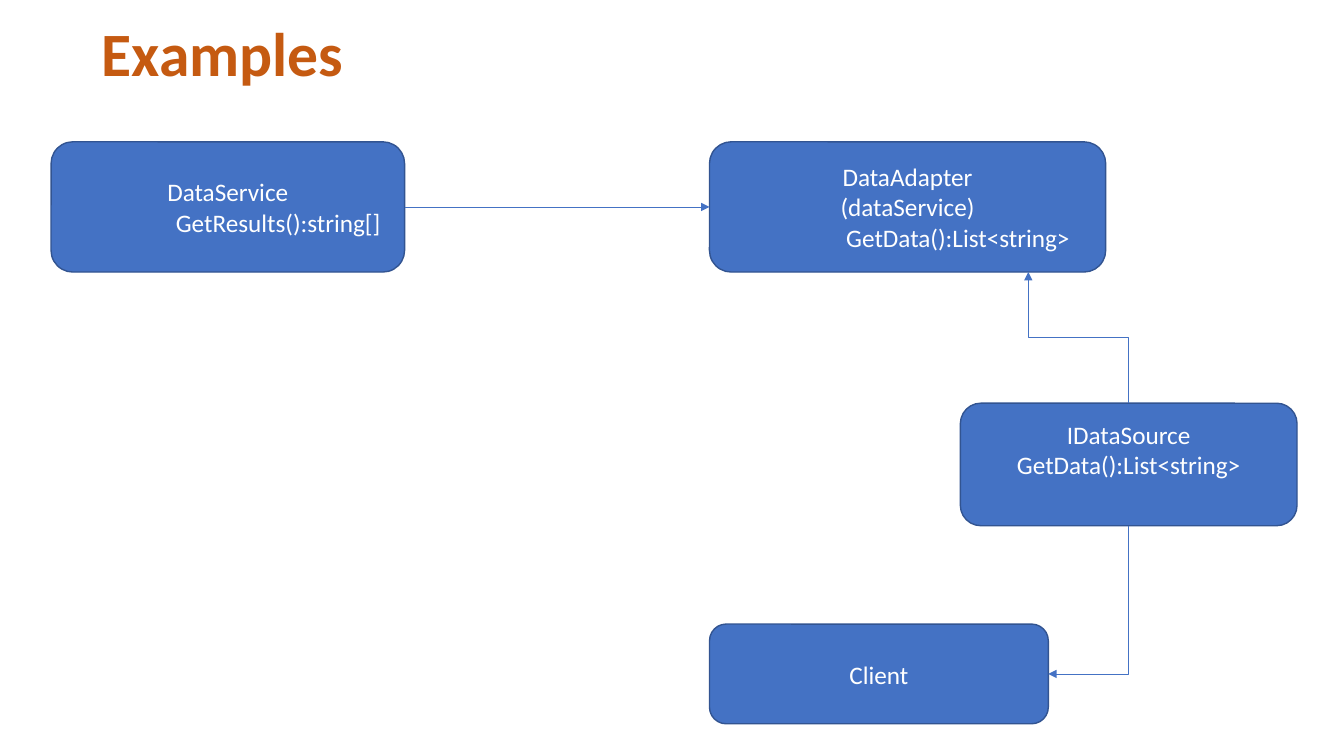
from pptx import Presentation
from pptx.dml.color import RGBColor
from pptx.enum.shapes import MSO_CONNECTOR, MSO_SHAPE
from pptx.enum.text import MSO_ANCHOR, PP_ALIGN
from pptx.oxml.ns import qn
from pptx.util import Pt
from lxml.etree import SubElement

ORANGE = RGBColor(0xC5, 0x5A, 0x11)
BLUE = RGBColor(0x44, 0x72, 0xC4)
NAVY = RGBColor(0x32, 0x54, 0x91)
WHITE = RGBColor(0xFF, 0xFF, 0xFF)


class Diagram:
    """Draws titles, class boxes and arrows on one slide in a shared style."""

    font = "Calibri"

    def __init__(self, prs):
        self.slide = prs.slides.add_slide(prs.slide_layouts[5])

    def style(self, p, size, color, align, bold=False):
        p.alignment = align
        for r in p.runs:
            r.font.name, r.font.size, r.font.bold = self.font, Pt(size), bold
            r.font.color.rgb = color

    def title(self, text, x, y, w, h):
        sp = self.slide.shapes.title
        sp.left, sp.top, sp.width, sp.height = Pt(x), Pt(y), Pt(w), Pt(h)
        tf = sp.text_frame
        tf.text = text
        tf.vertical_anchor = MSO_ANCHOR.MIDDLE
        p = tf.paragraphs[0]
        p.line_spacing = 0.9
        self.style(p, 44, ORANGE, PP_ALIGN.LEFT, bold=True)

    def box(self, text, x, y, w, h, last_indent=0, bottom=3.6):
        sp = self.slide.shapes.add_shape(
            MSO_SHAPE.ROUNDED_RECTANGLE, Pt(x), Pt(y), Pt(w), Pt(h))
        sp.shadow.inherit = False
        sp.fill.solid()
        sp.fill.fore_color.rgb = BLUE
        sp.line.color.rgb = NAVY
        sp.line.width = Pt(1)
        tf = sp.text_frame
        tf.text = text
        tf.word_wrap = True
        tf.vertical_anchor = MSO_ANCHOR.MIDDLE
        tf.margin_bottom = Pt(bottom)
        for p in tf.paragraphs:
            self.style(p, 18, WHITE, PP_ALIGN.CENTER)
        if last_indent:
            tf.paragraphs[-1]._p.get_or_add_pPr().set("marL", str(Pt(last_indent)))
        return sp

    def connector(self, kind, x1=0, y1=0, x2=0, y2=0):
        cx = self.slide.shapes.add_connector(kind, Pt(x1), Pt(y1), Pt(x2), Pt(y2))
        cx.line.color.rgb = BLUE
        cx.line.width = Pt(0.5)
        SubElement(cx.line._get_or_add_ln(), qn("a:tailEnd"), type="triangle")
        SubElement(cx._element.spPr, qn("a:effectLst"))
        return cx

    def arrow(self, source, target):
        cx = self.connector(MSO_CONNECTOR.STRAIGHT)
        cx.begin_connect(source, 3)
        cx.end_connect(target, 1)

    def elbow(self, x1, y1, x2, y2, preset):
        dx, dy = x2 - x1, y2 - y1
        mid_x, mid_y = (x1 + x2) / 2, (y1 + y2) / 2
        half_w = abs(dy) / 2
        half_h = dx / 2 if dy < 0 else -dx / 2
        cx = self.connector(MSO_CONNECTOR.ELBOW, mid_x - half_w, mid_y - half_h,
                            mid_x + half_w, mid_y + half_h)
        spPr = cx._element.spPr
        spPr.find(qn("a:xfrm")).set("rot", str((270 if dy < 0 else 90) * 60000))
        spPr.find(qn("a:prstGeom")).set("prst", preset)


prs = Presentation()
prs.slide_width, prs.slide_height = Pt(960), Pt(540)
d = Diagram(prs)
d.title("Examples", 65.5, 9.4, 828, 62.6)

top, height, right_x = 101.3, 93, 506.8
service = d.box("DataService\nGetResults():string[]", 36.5, top, 252.5, height, last_indent=72)
adapter = d.box("DataAdapter\n(dataService)\nGetData():List<string>",
                right_x, top, 283, height, last_indent=72)
d.box("Client", right_x, 445.8, 242, 71.2)
d.box("IDataSource\nGetData():List<string>", 686, 288, 240.5, 87.5, bottom=25.5)

d.arrow(service, adapter)
d.elbow(806.2, 288, 734.5, top + height, "bentConnector3")
d.elbow(806.2, 375.5, right_x + 242, 481.4, "bentConnector2")

prs.save("out.pptx")
